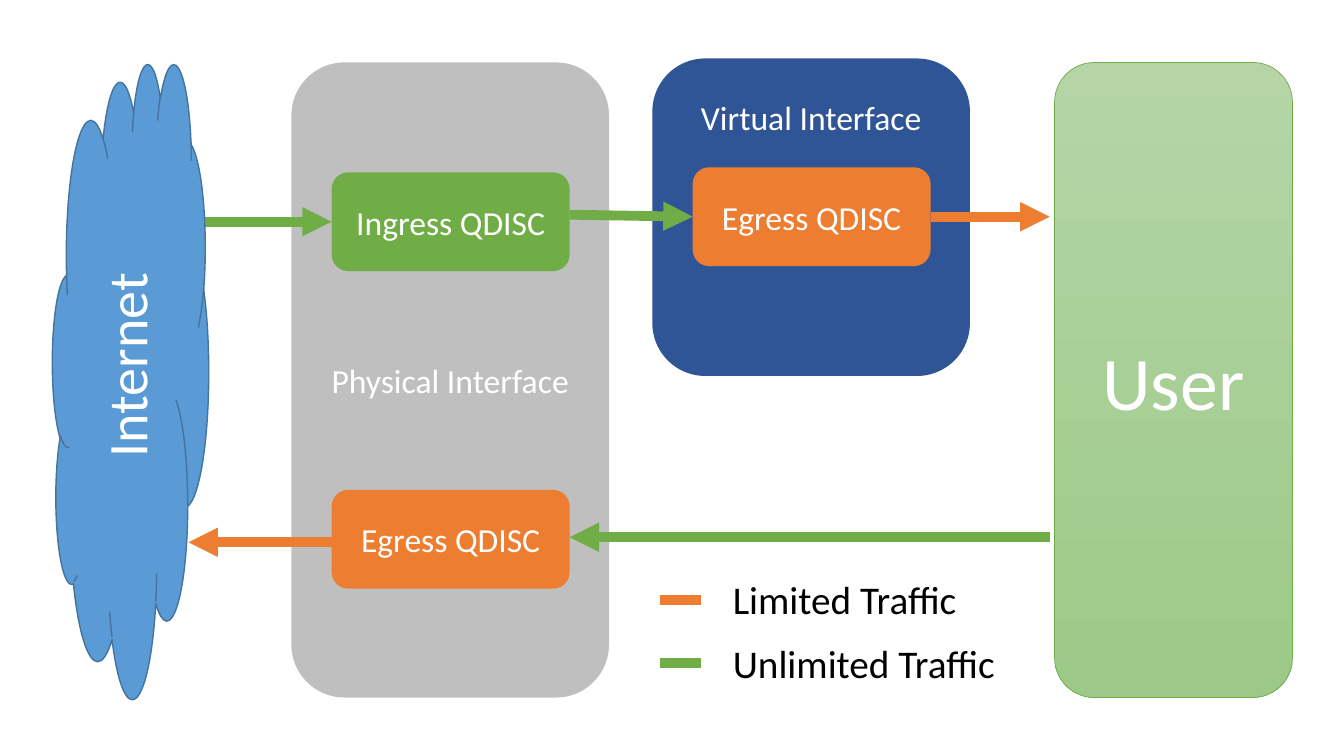
from lxml import etree
from pptx import Presentation
from pptx.dml.color import RGBColor
from pptx.enum.shapes import MSO_CONNECTOR, MSO_SHAPE
from pptx.enum.text import MSO_ANCHOR, PP_ALIGN
from pptx.oxml.ns import qn
from pptx.util import Inches, Pt

STRAIGHT = MSO_CONNECTOR.STRAIGHT
ROUNDED = MSO_SHAPE.ROUNDED_RECTANGLE
CLOUD = MSO_SHAPE.CLOUD
MIDDLE, TOP = MSO_ANCHOR.MIDDLE, MSO_ANCHOR.TOP
CENTER, LEFT = PP_ALIGN.CENTER, PP_ALIGN.LEFT

GREEN, ORANGE = "70AD47", "ED7D31"
GREY, NAVY, WHITE, BLACK = "BFBFBF", "2F5597", "FFFFFF", "000000"
CLOUD_BLUE, CLOUD_EDGE = "5B9BD5", "43739E"
USER_TOP, USER_BOTTOM = "B5D5A7", "9CC987"


def color(value):
    return RGBColor.from_string(value)


def write(box, text, size=24, ink=WHITE, align=CENTER, anchor=MIDDLE):
    frame = box.text_frame
    frame.word_wrap = True
    frame.vertical_anchor = anchor
    para = frame.paragraphs[0]
    para.alignment = align
    span = para.add_run()
    span.text = text
    span.font.name = "Calibri"
    span.font.size = Pt(size)
    span.font.color.rgb = color(ink)


deck = Presentation()
deck.slide_width, deck.slide_height = Inches(13.33), Inches(7.5)
page = deck.slides.add_slide(deck.slide_layouts[6])
shapes = page.shapes

# Blocks: preset, place, fill, edge colour, edge width, text, text size
blocks = [
    (ROUNDED, (2.89, 0.62, 3.15, 6.3), GREY, None, 0, "Physical Interface", 24),
    (ROUNDED, (3.29, 4.86, 2.36, 0.98), ORANGE, None, 0, "Egress QDISC", 24),
    (ROUNDED, (3.29, 1.71, 2.36, 0.98), GREEN, None, 0, "Ingress QDISC", 24),
    (ROUNDED, (6.47, 0.58, 3.15, 3.15), NAVY, None, 0, None, 24),
    (ROUNDED, (6.87, 1.66, 2.36, 0.98), ORANGE, None, 0, "Egress QDISC", 24),
    (CLOUD, (0.52, 0.62, 1.55, 6.3), CLOUD_BLUE, CLOUD_EDGE, 1, "Internet", 40),
    (ROUNDED, (10.46, 0.62, 2.36, 6.3), None, GREEN, 0.5, "User", 54),
]
for preset, place, fill, edge, edge_width, text, size in blocks:
    block = shapes.add_shape(preset, *map(Inches, place))
    block.shadow.inherit = False
    if fill:
        block.fill.solid()
        block.fill.fore_color.rgb = color(fill)
    else:
        block.fill.gradient()
        block.fill.gradient_angle = 270
        for stop, shade in zip(block.fill.gradient_stops, (USER_TOP, USER_BOTTOM)):
            stop.color.rgb = color(shade)
    if edge:
        block.line.color.rgb = color(edge)
        block.line.width = Pt(edge_width)
    else:
        block.line.fill.background()
    if text:
        write(block, text, size)
    if preset == CLOUD:
        block.text_frame._txBody.bodyPr.set("vert", "vert270")

# Traffic flows and legend keys: start, end, colour, arrowhead at the end
flows = [
    ((1.96, 2.2), (3.29, 2.2), GREEN, True),
    ((3.29, 5.38), (1.87, 5.38), ORANGE, True),
    ((9.23, 2.15), (10.41, 2.15), ORANGE, True),
    ((5.65, 2.13), (6.87, 2.15), GREEN, True),
    ((10.41, 5.33), (5.65, 5.33), GREEN, True),
    ((6.55, 5.95), (6.95, 5.95), ORANGE, False),
    ((6.55, 6.58), (6.95, 6.58), GREEN, False),
]
for start, end, ink, has_arrow in flows:
    flow = shapes.add_connector(STRAIGHT, *map(Inches, start + end))
    flow.line.color.rgb = color(ink)
    flow.line.width = Pt(7)
    if has_arrow:
        etree.SubElement(flow.line._get_or_add_ln(), qn("a:tailEnd"), type="triangle")
    etree.SubElement(flow._element.spPr, qn("a:effectLst"))

labels = [
    ((6.47, 0.91, 3.15, 0.5), "Virtual Interface", 24, WHITE, CENTER),
    ((7.17, 5.66, 3.23, 0.57), "Limited Traffic", 28, BLACK, LEFT),
    ((7.17, 6.29, 3.23, 0.57), "Unlimited Traffic", 28, BLACK, LEFT),
]
for place, text, size, ink, align in labels:
    label = shapes.add_textbox(*map(Inches, place))
    write(label, text, size, ink, align, TOP)

# The cloud covers the start of the flow that leaves it
cloud = next(shape for shape in shapes if shape.has_text_frame and shape.text_frame.text == "Internet")
shapes._spTree.append(cloud._element)

deck.save("out.pptx")
